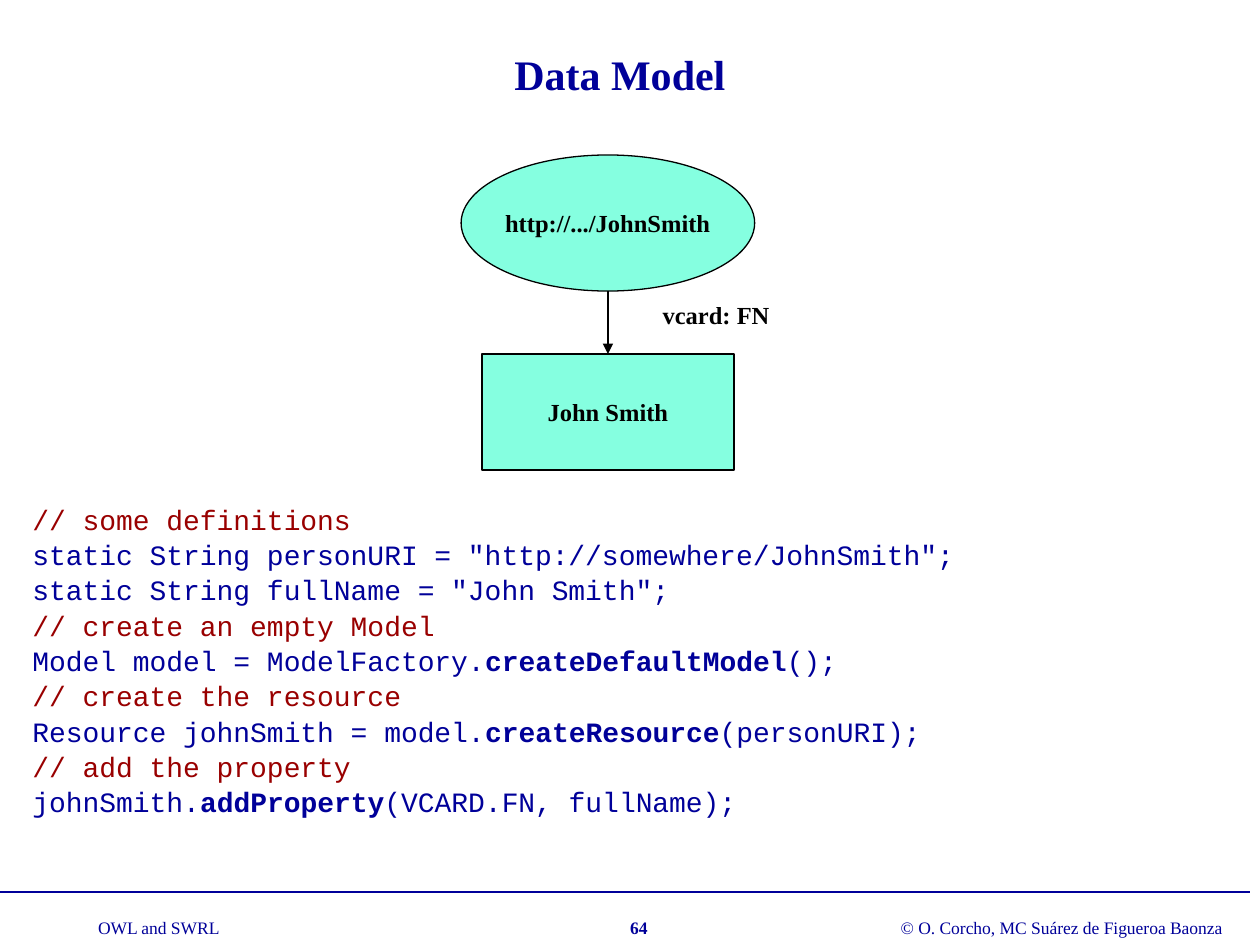
from lxml.etree import SubElement
from pptx import Presentation
from pptx.dml.color import RGBColor
from pptx.enum.shapes import MSO_CONNECTOR, MSO_SHAPE
from pptx.enum.text import MSO_ANCHOR, PP_ALIGN
from pptx.oxml.ns import qn
from pptx.util import Inches, Pt

HUES = {"navy": "000099", "red": "990000", "mint": "85FFE0", "black": "000000"}
SERIF, MONO = "Times New Roman", "Courier New"
TITLE = {"name": SERIF, "size": Pt(24), "bold": True}
LABEL = {"name": SERIF, "size": Pt(14), "bold": True}
FOOT = {"name": SERIF, "size": Pt(10), "bold": False}
CODE = {"name": MONO, "size": Pt(16), "bold": False}
LINES = [
    ["// some definitions"],
    ['static String personURI = "http://somewhere/JohnSmith";'],
    ['static String fullName = "John Smith";'],
    ["// create an empty Model"],
    ["Model model = ModelFactory.", "createDefaultModel", "();"],
    ["// create the resource"],
    ["Resource johnSmith = model.", "createResource", "(personURI);"],
    ["// add the property"],
    ["johnSmith.", "addProperty", "(VCARD.FN, fullName);"],
]


def tint(name):
    """Return the named colour."""
    return RGBColor.from_string(HUES[name])


def assign(item, values):
    """Set each attribute of item from a dict."""
    for key, value in values.items():
        setattr(item, key, value)


def add_run(para, words, style, hue):
    """Append one styled run."""
    run = para.add_run()
    run.text = words
    assign(run.font, style)
    run.font.color.rgb = tint(hue)


def write(shape, words, style, hue, align=PP_ALIGN.LEFT, wrap=False):
    """Fill a shape with one line of text."""
    shape.text_frame.word_wrap = wrap
    para = shape.text_frame.paragraphs[0]
    para.alignment = align
    add_run(para, words, style, hue)


def add_box(slide, left, top, width, height):
    """Add a text box measured in inches."""
    return slide.shapes.add_textbox(*map(Inches, (left, top, width, height)))


def add_line(slide, start, end, hue, arrow=False):
    """Draw a straight line, with an arrowhead if asked."""
    line = slide.shapes.add_connector(
        MSO_CONNECTOR.STRAIGHT, *map(Inches, (*start, *end)))
    line.line.color.rgb = tint(hue)
    line.line.width = Pt(1)
    if arrow:
        SubElement(line.line._get_or_add_ln(), qn("a:tailEnd"), type="triangle")
    SubElement(line._element.spPr, qn("a:effectLst"))


def add_node(slide, kind, words, mid, top, width, height):
    """Add a labelled graph node centred on mid."""
    node = slide.shapes.add_shape(
        kind, *map(Inches, (mid - width / 2, top, width, height)))
    node.shadow.inherit = False
    node.fill.solid()
    node.fill.fore_color.rgb = tint("mint")
    node.line.color.rgb = tint("black")
    node.line.width = Pt(0.75)
    node.text_frame.vertical_anchor = MSO_ANCHOR.MIDDLE
    write(node, words, LABEL, "black", PP_ALIGN.CENTER)


def add_title(slide, left, top, width, height):
    """Place the heading in its box."""
    box = add_box(slide, left, top, width, height)
    box.text_frame.vertical_anchor = MSO_ANCHOR.MIDDLE
    write(box, "Data Model", TITLE, "navy", PP_ALIGN.CENTER, True)


def add_graph(slide, left, top, width, height):
    """Place the resource, its property and its value."""
    mid, oval, rect = left + width / 2, 1.08, 0.92
    low = top + height - rect
    add_node(slide, MSO_SHAPE.OVAL, "http://.../JohnSmith", mid, top, width, oval)
    add_node(slide, MSO_SHAPE.RECTANGLE, "John Smith", mid, low, 2, rect)
    write(add_box(slide, left + 1.5, top + 1.1, 1.05, 0.34),
          "vcard: FN", LABEL, "black")
    add_line(slide, (mid, top + oval), (mid, low), "black", True)


def add_code(slide, left, top, width, height):
    """Place the listing with red comments and bold calls."""
    frame = add_box(slide, left, top, width, height).text_frame
    frame.word_wrap = True
    for row, parts in enumerate(LINES):
        para = frame.add_paragraph() if row else frame.paragraphs[0]
        assign(para, {"line_spacing": 0.8, "space_before": Pt(4.8)})
        para._p.get_or_add_pPr().set("marL", str(Inches(0.38)))
        para._p.get_or_add_pPr().set("indent", str(Inches(-0.38)))
        hue = "red" if parts[0].startswith("//") else "navy"
        for spot, words in enumerate(parts):
            add_run(para, words, {**CODE, "bold": spot == 1}, hue)


def add_footer(slide, left, top, width):
    """Place the rule, course, page number and authors."""
    add_line(slide, (left, top), (left + width, top), "navy")
    bold = {**FOOT, "bold": True}
    for start, span, words, style, align in (
        (0.68, 1.17, "OWL and SWRL", FOOT, PP_ALIGN.LEFT),
        (4.66, 0.82, "64", bold, PP_ALIGN.CENTER),
        (7.05, 2.75, "© O. Corcho, MC Suárez de Figueroa Baonza", FOOT, PP_ALIGN.LEFT),
    ):
        box = add_box(slide, left + start, top + 0.15, span, 0.27)
        write(box, words, style, "navy", align)


def main():
    """Build and save the slide."""
    deck = Presentation()
    assign(deck, {"slide_width": Inches(10), "slide_height": Inches(7.5)})
    slide = deck.slides.add_slide(deck.slide_layouts[6])
    add_footer(slide, 0, 7.08, 9.92)
    add_code(slide, 0.16, 3.99, 9.53, 2.71)
    add_graph(slide, 3.66, 1.23, 2.33, 2.5)
    add_title(slide, 0.67, 0.17, 8.5, 0.83)
    deck.save("out.pptx")


if __name__ == "__main__":
    main()
